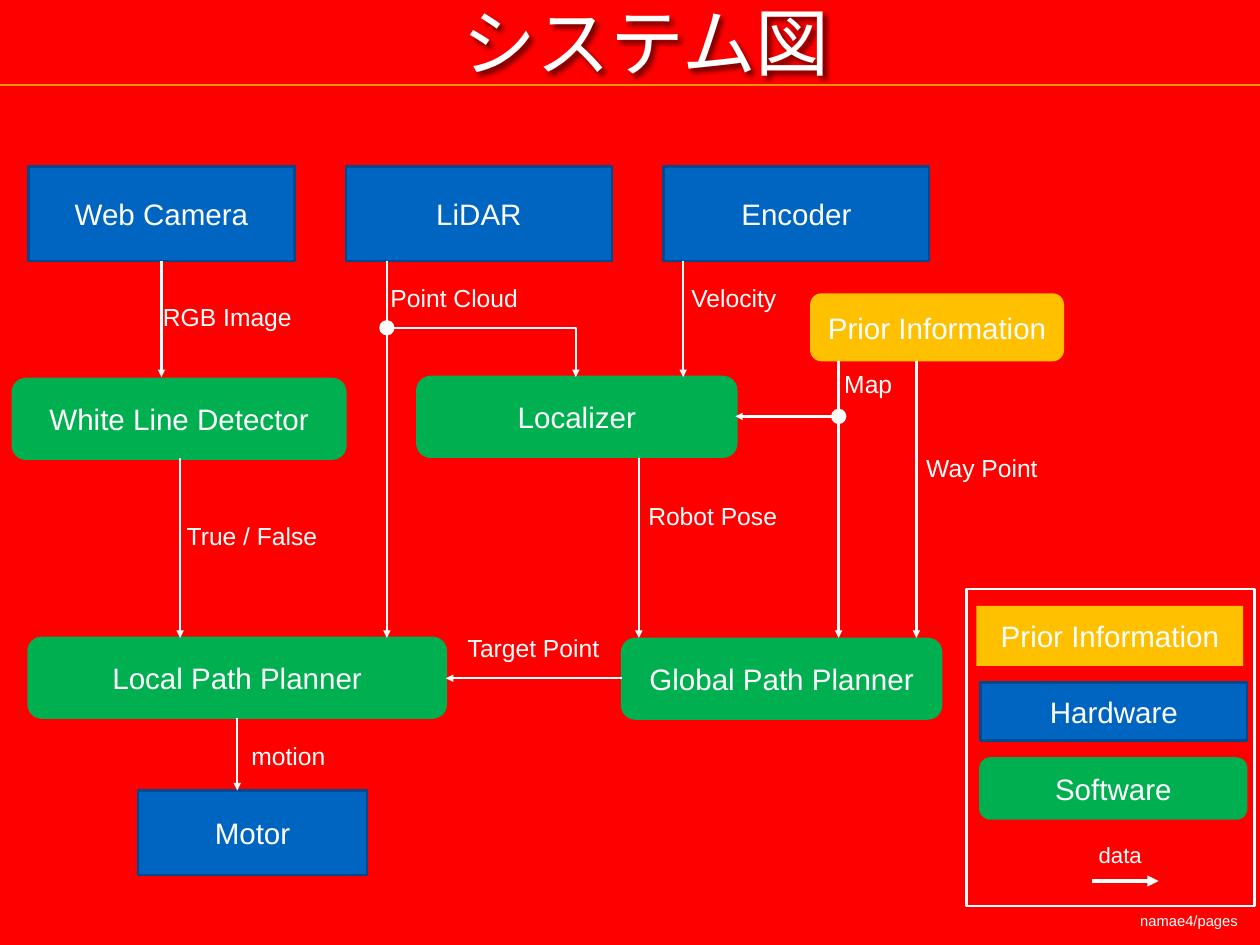
from lxml.etree import SubElement
from pptx import Presentation
from pptx.dml.color import RGBColor
from pptx.enum.shapes import MSO_CONNECTOR as LINE, MSO_SHAPE as SHAPE
from pptx.enum.text import MSO_ANCHOR as ANCHOR, MSO_AUTO_SIZE as AUTO, PP_ALIGN as ALIGN
from pptx.oxml.ns import qn
from pptx.util import Inches, Pt

COLS, ROWS = 128, 96
CELL = Inches(14.22) / COLS
FONT, TITLE_FONT = "Arial", "Noto Sans CJK JP"
RED, ORANGE, WHITE = "FF0000", "FF9300", "FFFFFF"

# Kind of node: preset shape, fill, outline
HARDWARE = SHAPE.RECTANGLE, "0065C1", "004B8F"
SOFTWARE = SHAPE.ROUNDED_RECTANGLE, "00B050", "00B050"
PRIOR = SHAPE.ROUNDED_RECTANGLE, "FFC000", None
PRIOR_KEY = SHAPE.RECTANGLE, "FFC000", None


def rgb(color):
    return RGBColor.from_string(color)


def cells(*counts):
    return [round(n * CELL) for n in counts]


def write(tf, text, size, font=FONT):
    tf.text = text
    tf.vertical_anchor = ANCHOR.MIDDLE
    p = tf.paragraphs[0]
    p.alignment = ALIGN.CENTER
    p.font.size, p.font.name = Pt(size), font
    p.font.color.rgb = rgb(WHITE)
    return p


def set_margins(tf, inches):
    tf.margin_left = tf.margin_right = Inches(inches)
    tf.margin_top = tf.margin_bottom = Inches(inches)


class Region:
    """A box on the slide grid; its parts are placed from its top left cell."""

    def __init__(self, slide, left, top, width, height):
        self.shapes = slide.shapes
        self.left, self.top = left, top
        self.width, self.height = width, height

    def at(self, x, y):
        return cells(self.left + x, self.top + y)

    def outline(self, kind, x, y, w, h, fill, line):
        sp = self.shapes.add_shape(kind, *self.at(x, y), *cells(w, h))
        sp.shadow.inherit = False
        if fill:
            sp.fill.solid()
            sp.fill.fore_color.rgb = rgb(fill)
        else:
            sp.fill.background()
        if line:
            sp.line.color.rgb = rgb(line)
            sp.line.width = Pt(2)
        else:
            sp.line.fill.background()
        return sp

    def node(self, text, kind, x, y, w, h):
        shape, fill, line = kind
        sp = self.outline(shape, x, y, w, h, fill, line)
        sp.text_frame.word_wrap = True
        write(sp.text_frame, text, 24)

    def label(self, text, x, y, w, h=4, size=20):
        sp = self.shapes.add_textbox(*self.at(x, y), *cells(w, h))
        sp.text_frame.word_wrap = False
        write(sp.text_frame, text, size)
        return sp

    def line(self, x1, y1, x2, y2, color=WHITE, width=2, arrow=True, bent=False):
        kind = LINE.ELBOW if bent else LINE.STRAIGHT
        cn = self.shapes.add_connector(kind, *self.at(x1, y1), *self.at(x2, y2))
        cn.line.color.rgb = rgb(color)
        cn.line.width = Pt(width)
        sp_pr = cn._element.spPr
        if bent:
            sp_pr.find(qn("a:prstGeom")).set("prst", "bentConnector2")
        if arrow:
            SubElement(sp_pr.find(qn("a:ln")), qn("a:tailEnd"), type="triangle")
        SubElement(sp_pr, qn("a:effectLst"))

    def junction(self, x, y, d=1.3):
        self.outline(SHAPE.OVAL, x - d / 2, y - d / 2, d, d, WHITE, WHITE)


def add_header(slide, region):
    title = slide.shapes.title
    title.left, title.top = region.at(22.3, -0.8)
    title.width, title.height = cells(86.7, 10)
    tf = title.text_frame
    tf.word_wrap, tf.auto_size = True, AUTO.NONE
    set_margins(tf, 0.06)
    p = write(tf, "システム図", 60, TITLE_FONT)
    latin = p.font._element.find(qn("a:latin")) if hasattr(p.font, "_element") else None
    if latin is None:
        latin = p._p.find(".//" + qn("a:latin"))
    latin.addnext(latin.makeelement(qn("a:ea"), {"typeface": TITLE_FONT}))
    effects = SubElement(title._element.spPr, qn("a:effectLst"))
    shadow = SubElement(effects, qn("a:outerShdw"), blurRad="50800",
                        dist="38100", dir="2700000", algn="tl", rotWithShape="0")
    black = SubElement(shadow, qn("a:srgbClr"), val="000000")
    SubElement(black, qn("a:alpha"), val="60000")
    region.line(0, region.height, region.width, region.height, ORANGE, arrow=False)


def add_data_flow(region):
    for i, sensor in enumerate(("Web Camera", "LiDAR", "Encoder")):
        region.node(sensor, HARDWARE, 2.9 + 32.25 * i, 0.9, 27, 9.6)
    for text, kind, *box in (
        ("White Line Detector", SOFTWARE, 1.3, 22.5, 33.8, 8.1),
        ("Localizer", SOFTWARE, 42.4, 22.3, 32.4, 8.1),
        ("Global Path Planner", SOFTWARE, 63.2, 48.9, 32.4, 8.1),
        ("Local Path Planner", SOFTWARE, 2.9, 48.8, 42.4, 8.1),
        ("Motor", HARDWARE, 14, 64.3, 23.3, 8.6),
        ("Prior Information", PRIOR, 82.3, 13.8, 25.8, 6.9),
    ):
        region.node(text, kind, *box)

    sensors, prior, detectors, planners = 10.5, 20.7, 30.5, 56.9  # bottom edges
    to_detectors, to_planners, to_motor = 22.3, 48.8, 64.3  # top edges
    for x, start, end in (
        (16.4, sensors, to_detectors),
        (39.3, sensors, to_planners),
        (69.4, sensors, to_detectors),
        (18.3, detectors, to_planners),
        (64.9, detectors, to_planners),
        (85.2, prior, to_planners),
        (93.1, prior, to_planners),
        (24.1, planners, to_motor),
    ):
        region.line(x, start, x, end)
    region.line(63.2, 52.9, 45.3, 52.9)
    region.line(85.2, 26.3, 74.7, 26.3)
    region.line(39.3, 17.3, 58.5, to_detectors, bent=True)
    region.junction(39.3, 17.3)
    region.junction(85.2, 26.3)

    for text, *place in (
        ("RGB Image", 5.1, 14.2, 36),
        ("True / False", 10.5, 36.4, 30.2),
        ("Point Cloud", 38.7, 12.2, 14.9),
        ("Robot Pose", 64.9, 34.4, 15),
        ("Velocity", 69.2, 12.2, 10.7),
        ("Target Point", 46.4, 47.8, 15.6),
        ("motion", 24.6, 58.8, 9.4),
        ("Map", 84.8, 21, 6.8),
        ("Way Point", 93.1, 29.5, 13.3),
    ):
        region.label(text, *place)


def add_legend(region):
    region.outline(SHAPE.RECTANGLE, 0, 0, region.width, region.height, None, WHITE)
    region.node("Prior Information", PRIOR_KEY, 1, 1.7, 27.1, 6.1)
    region.node("Hardware", HARDWARE, 1.4, 9.5, 27.1, 5.9)
    region.node("Software", SOFTWARE, 1.4, 17.2, 27, 6.1)
    region.label("data", 12.5, 25.2, 6.2, 3.6, 18)
    region.line(12.7, 29.65, 19.5, 29.65, width=3)


def add_footer(region):
    sp = region.label("namae4/pages", 0, 0, region.width, region.height, 12)
    set_margins(sp.text_frame, 0.06)


def main():
    prs = Presentation()
    prs.slide_width, prs.slide_height = cells(COLS, ROWS)
    s = prs.slides.add_slide(prs.slide_layouts[5])
    s.background.fill.solid()
    s.background.fill.fore_color.rgb = rgb(RED)
    add_header(s, Region(s, 0, 0, COLS, 8.65))
    add_data_flow(Region(s, 0, 16, 109, 74))
    add_legend(Region(s, 98.2, 59.85, 29.25, 32.2))
    add_footer(Region(s, 114.8, 92.1, 12, 2.8))
    prs.save("out.pptx")


if __name__ == "__main__":
    main()
